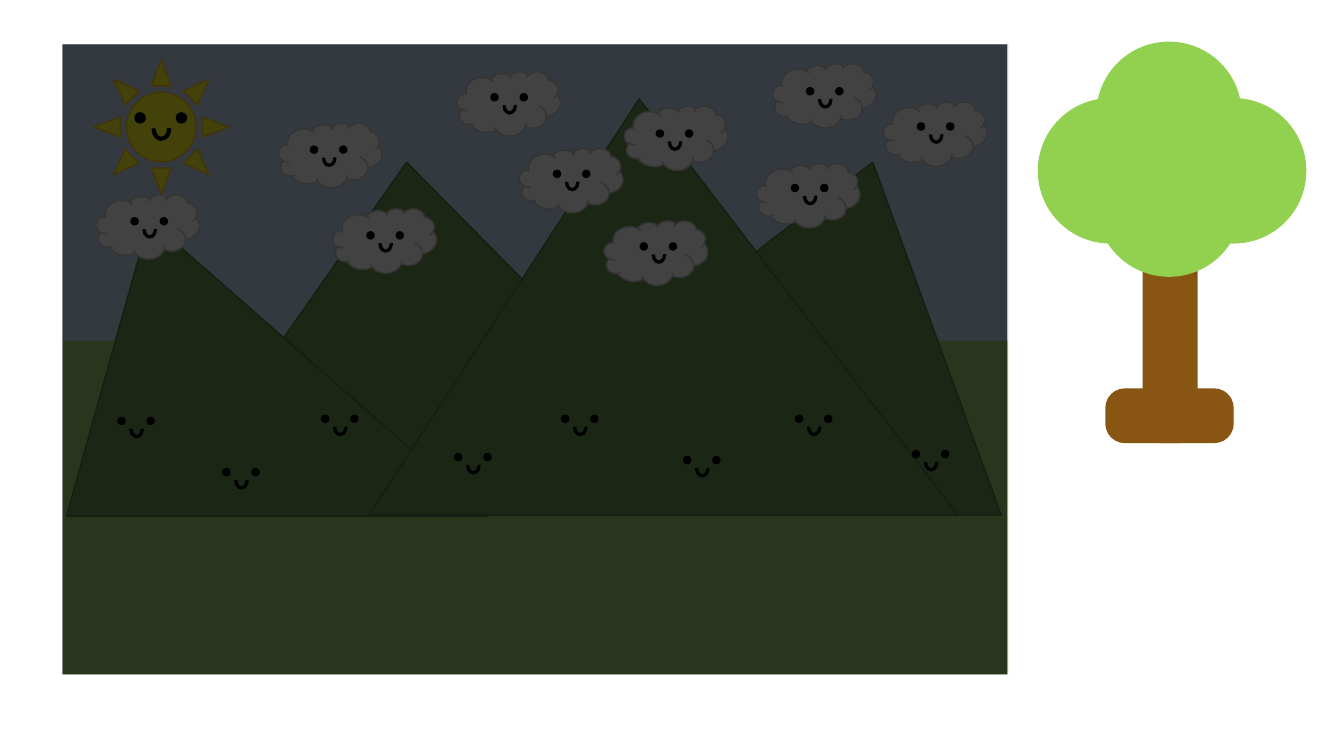
from typing import NamedTuple, Optional

from lxml import etree
from pptx import Presentation
from pptx.dml.color import RGBColor
from pptx.enum.shapes import MSO_SHAPE
from pptx.oxml.ns import qn
from pptx.shapes.autoshape import Shape
from pptx.util import Emu, Pt

RECT = MSO_SHAPE.RECTANGLE
ROUND_RECT = MSO_SHAPE.ROUNDED_RECTANGLE
OVAL = MSO_SHAPE.OVAL
TRIANGLE = MSO_SHAPE.ISOSCELES_TRIANGLE
CLOUD = MSO_SHAPE.CLOUD
SUN = MSO_SHAPE.SUN
ARC = MSO_SHAPE.BLOCK_ARC

PX = 9144  # EMU in one px, 100 px to the inch

COLORS = {
    "trunk": "885512", "leaves": "92D050",
    "meadow": "9AC55B", "sky": "BDD7EE",
    "mountain": "548235", "ridge": "385723",
    "cloud": "FFFFFF", "cloud_edge": "BFBFBF",
    "sun": "FFFF00", "sun_edge": "FFC000",
    "night": "0D0D0D", "face": "000000",
}


class Box(NamedTuple):
    left: int
    top: int
    width: int
    height: int


class Mountain(NamedTuple):
    box: Box
    peak: float


class Face(NamedTuple):
    left: int
    top: int
    eye: int = 7
    eye_gap: int = 29
    mouth_drop: int = 4
    mouth_width: int = 13
    mouth_height: int = 16


MOUNTAINS = [
    Mountain(Box(161, 161, 584, 346), 0.415),
    Mountain(Box(66, 218, 417, 294), 0.197),
    Mountain(Box(409, 161, 584, 350), 0.782),
    Mountain(Box(366, 98, 584, 413), 0.459),
]
CLOUD_SIZE = (103, 64)
CLOUD_GROUPS = [
    [(276, 122), (453, 71), (619, 105), (766, 63), (876, 101)],
    [(95, 193), (515, 147), (330, 207), (750, 162), (599, 219)],
]
LEAF_SIZE = 143
LEAVES = [(1088, 131), (1088, 42), (1152, 98), (1030, 98)]

SUN_FACE = Face(134, 112, 10, 41, 5, 18, 22)
CLOUD_FACES = [
    Face(130, 216), Face(308, 145), Face(364, 230), Face(487, 93), Face(549, 169),
    Face(651, 129), Face(635, 241), Face(800, 87), Face(910, 122), Face(785, 183),
]
MOUNTAIN_FACES = [
    Face(905, 447), Face(789, 412), Face(678, 453), Face(557, 412),
    Face(451, 450), Face(319, 412), Face(221, 465), Face(117, 414),
]


def draw(shapes, kind: MSO_SHAPE, box: Box, fill: str, line: Optional[str] = None,
         adjust: tuple = (), rotation: int = 0) -> Shape:
    shape = shapes.add_shape(kind, *(Emu(length * PX) for length in box))
    shape.shadow.inherit = False
    shape.rotation = rotation
    for index, value in enumerate(adjust):
        shape.adjustments[index] = value
    shape.fill.solid()
    shape.fill.fore_color.rgb = RGBColor.from_string(COLORS[fill])
    if line:
        shape.line.color.rgb = RGBColor.from_string(COLORS[line])
        shape.line.width = Pt(1)
    else:
        shape.line.fill.background()
    return shape


def set_opacity(shape: Shape, percent: int) -> None:
    color = shape._element.spPr.find(qn("a:solidFill"))[0]
    etree.SubElement(color, qn("a:alpha")).set("val", str(percent * 1000))


def draw_tree(slide) -> None:
    tree = slide.shapes.add_group_shape().shapes
    draw(tree, ROUND_RECT, Box(1097, 386, 126, 53), "trunk", "trunk", (0.354,))
    draw(tree, ROUND_RECT, Box(1034, 286, 253, 53), "trunk", "trunk", (0.333,), 90)
    for left, top in LEAVES:
        draw(tree, OVAL, Box(left, top, LEAF_SIZE, LEAF_SIZE), "leaves", "leaves")


def draw_landscape(slide) -> None:
    land = slide.shapes.add_group_shape().shapes
    draw(land, RECT, Box(63, 44, 937, 625), "meadow")
    draw(land, RECT, Box(63, 44, 937, 294), "sky")
    for mountain in MOUNTAINS:
        draw(land, TRIANGLE, mountain.box, "mountain", "ridge", (mountain.peak,))


def draw_clouds(slide) -> None:
    for places in CLOUD_GROUPS:
        clouds = slide.shapes.add_group_shape().shapes
        for place in places:
            draw(clouds, CLOUD, Box(*place, *CLOUD_SIZE), "cloud", "cloud_edge")


def draw_face(slide, face: Face) -> None:
    parts = slide.shapes.add_group_shape().shapes
    for left in (face.left, face.left + face.eye_gap):
        draw(parts, OVAL, Box(left, face.top, face.eye, face.eye), "face", "face")
    inset = (face.eye_gap + face.eye - face.mouth_width + 1) // 2
    mouth = Box(face.left + inset, face.top + face.mouth_drop,
                face.mouth_width, face.mouth_height)
    draw(parts, ARC, mouth, "face", "face", (106.693, 0, 0.146), 180)


def main() -> None:
    prs = Presentation()
    prs.slide_width, prs.slide_height = Emu(1333 * PX), Emu(750 * PX)
    slide = prs.slides.add_slide(prs.slide_layouts[6])

    # Daytime scene
    draw_tree(slide)
    draw_landscape(slide)
    draw_clouds(slide)
    draw(slide.shapes, SUN, Box(93, 59, 134, 134), "sun", "sun_edge", (0.242,))

    # Night veil over the landscape
    veil = draw(slide.shapes, RECT, Box(62, 44, 937, 625), "night")
    set_opacity(veil, 78)

    # Faces on top of the veil
    for face in [SUN_FACE, *CLOUD_FACES, *MOUNTAIN_FACES]:
        draw_face(slide, face)

    prs.save("out.pptx")


if __name__ == "__main__":
    main()
